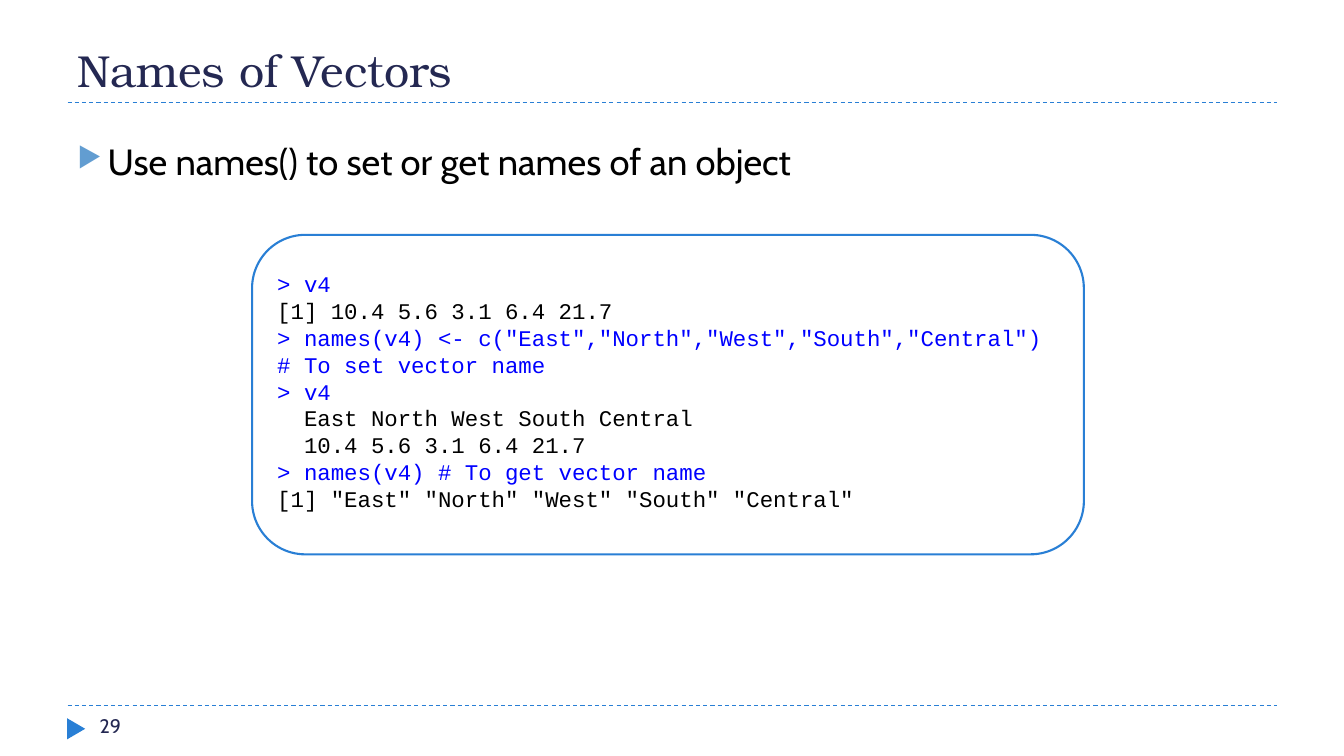
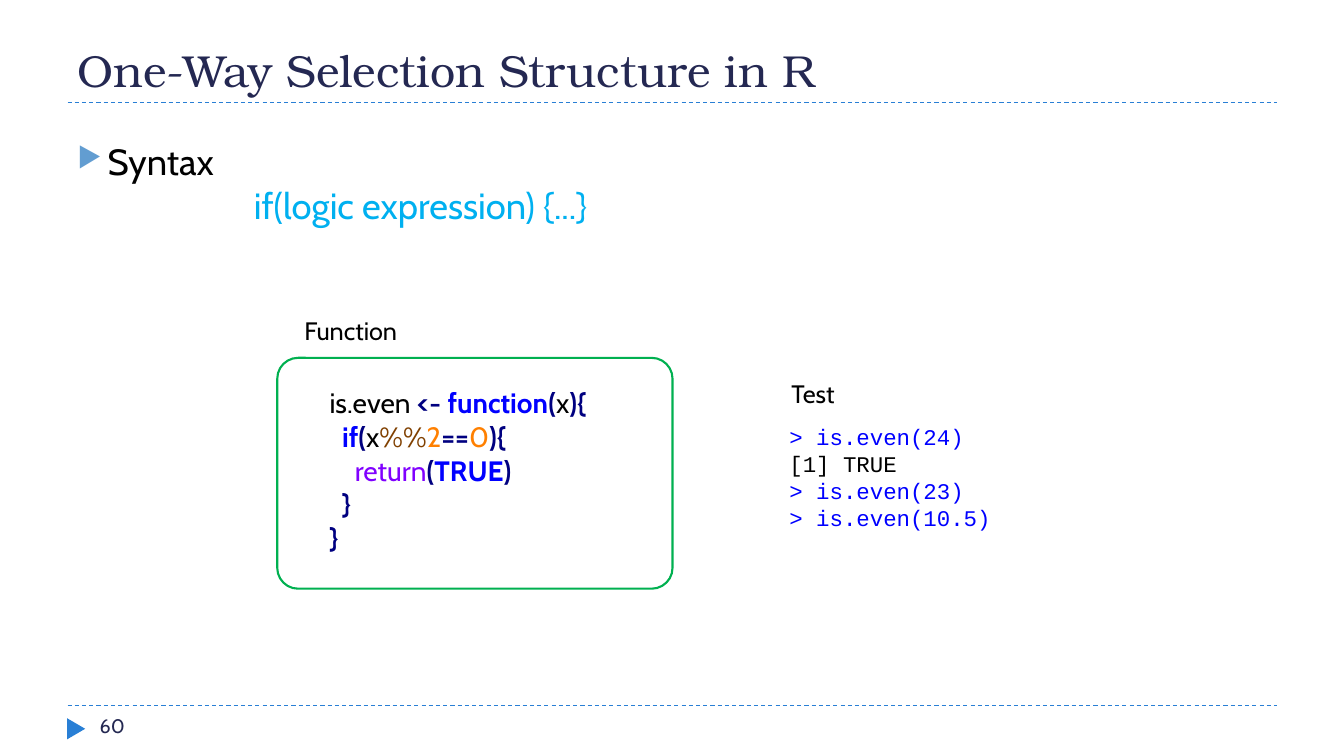
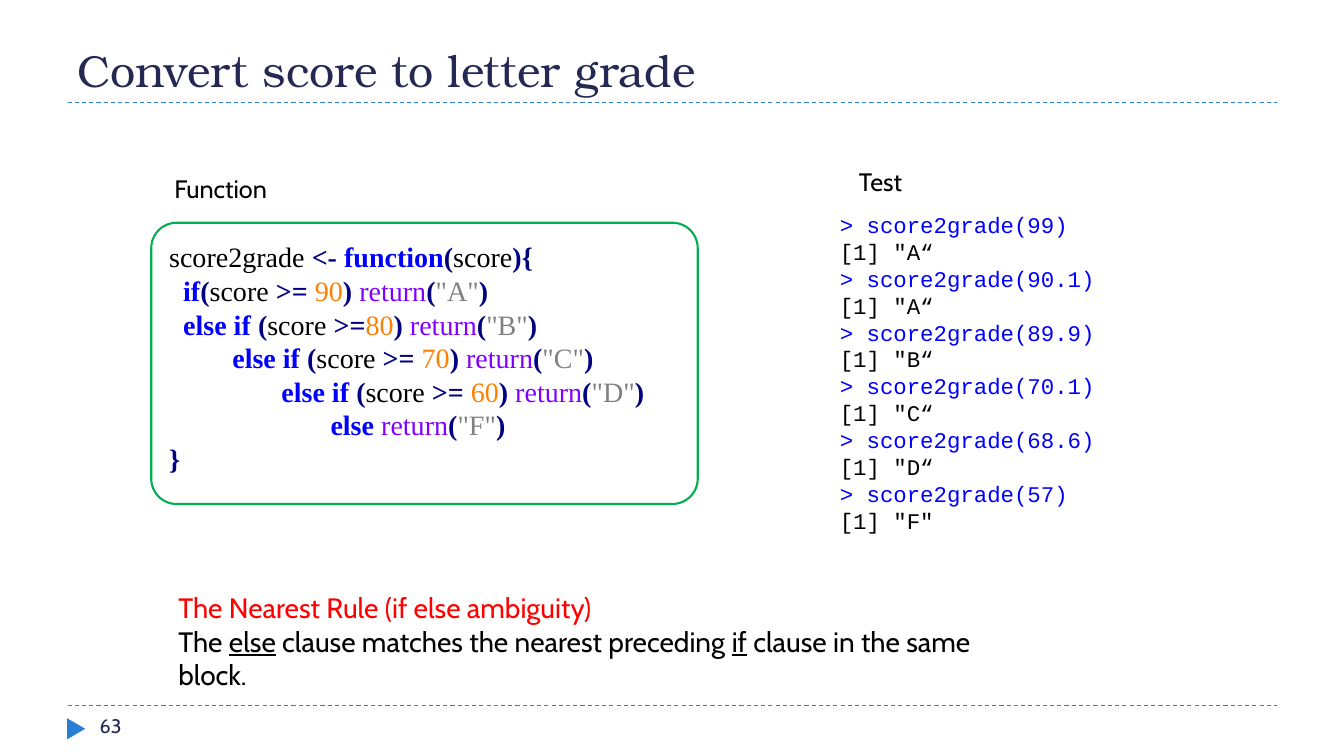
"""Build three slides on vector names and selection structures in R."""
from lxml import etree
from pptx import Presentation
from pptx.dml.color import RGBColor
from pptx.enum.dml import MSO_LINE
from pptx.enum.shapes import MSO_CONNECTOR, MSO_SHAPE
from pptx.enum.text import MSO_ANCHOR, MSO_AUTO_SIZE, PP_ALIGN
from pptx.oxml.ns import qn
from pptx.util import Pt

PX = 9144
DASH = MSO_LINE.DASH
STRAIGHT = MSO_CONNECTOR.STRAIGHT
ROUNDED = MSO_SHAPE.ROUNDED_RECTANGLE
TRIANGLE = MSO_SHAPE.ISOSCELES_TRIANGLE
TOP, MIDDLE, BOTTOM = MSO_ANCHOR.TOP, MSO_ANCHOR.MIDDLE, MSO_ANCHOR.BOTTOM
LEFT = PP_ALIGN.LEFT
NO_AUTOFIT = MSO_AUTO_SIZE.NONE
TITLE_ONLY = 5

COLORS = {
    "white": "FFFFFF", "text": "000000", "title": "242852", "accent": "297FD5",
    "bullet": "629DD1", "syntax": "00B0F0", "frame": "00B050", "input": "0000FF",
    "operator": "000080", "modulo": "804000", "number": "FF8000",
    "call": "8000FF", "string": "808080", "rule": "FF0000",
}
TITLE = {"size": Pt(32), "name": "TeX Gyre Bonum", "color": "title"}
PAGE = {"size": Pt(14), "name": "Cabin", "color": "title"}
BODY = {"size": Pt(26), "name": "Cabin", "color": "text"}
LABEL = {"size": Pt(18), "name": "Cabin", "color": "text"}
NOTE = {"size": Pt(20), "name": "Cabin", "color": "text"}
SERIF_CODE = {**NOTE, "name": "Times New Roman"}
CONSOLE = {"size": Pt(16), "name": "Courier New", "color": "text"}

KEYWORD = {"color": "input", "bold": True}
OPERATOR = {"color": "operator", "bold": True}
TOKENS = {
    **dict.fromkeys(("function", "if", "else", "else if", "TRUE"), KEYWORD),
    **dict.fromkeys(("<-", "(", ")", "){", "}", ">=", "=="), OPERATOR),
    "return": {"color": "call"},
    "%%": {"color": "modulo"},
}

NAMES_SESSION = [
    '> v4',
    '[1] 10.4 5.6 3.1 6.4 21.7',
    '> names(v4) <- c("East","North","West","South","Central") # To set vector name',
    '> v4',
    '  East North West South Central',
    '  10.4 5.6 3.1 6.4 21.7',
    '> names(v4) # To get vector name',
    '[1] "East" "North" "West" "South" "Central"',
]
EVEN_CODE = [
    'is.even |<-| |function|(|x|){',
    '  |if|(|x|%%|2|==|0|){',
    '    |return|(|TRUE|)',
    '  |}',
    '}',
]
EVEN_SESSION = ['> is.even(24)', '[1] TRUE', '> is.even(23)', '> is.even(10.5)']
GRADE_CODE = [
    'score2grade |<-| |function|(|score|){',
    '  |if|(|score |>=| |90|)| |return|(|"A"|)',
    '  |else if| |(|score |>=|80|)| |return|(|"B"|)',
    '         |else if| |(|score |>=| |70|)| |return|(|"C"|)',
    '                |else if| |(|score |>=| |60|)| |return|(|"D"|)',
    '                       |else| |return|(|"F"|)',
    '}',
]
GRADE_SESSION = [
    '> score2grade(99)', '[1] "A“',
    '> score2grade(90.1)', '[1] "A“',
    '> score2grade(89.9)', '[1] "B“',
    '> score2grade(70.1)', '[1] "C“',
    '> score2grade(68.6)', '[1] "D“',
    '> score2grade(57)', '[1] "F"',
]


def rgb(name):
    """Return the named colour."""
    return RGBColor.from_string(COLORS[name])


def emu(box):
    """Turn px lengths into EMU."""
    return [length * PX for length in box]


def format_font(font, style):
    """Apply a dict of format values to a font."""
    for key, value in style.items():
        if key == "color":
            font.color.rgb = rgb(value)
        else:
            setattr(font, key, value)


def write(frame, lines, style, anchor=TOP):
    """Fill a frame with lines, each a list of (text, overrides) pairs."""
    settings = {"word_wrap": True, "auto_size": NO_AUTOFIT, "vertical_anchor": anchor}
    for key, value in settings.items():
        setattr(frame, key, value)
    for index, line in enumerate(lines):
        paragraph = frame.add_paragraph() if index else frame.paragraphs[0]
        paragraph.alignment = LEFT
        for text, overrides in line:
            run = paragraph.add_run()
            run.text = text
            format_font(run.font, {**style, **overrides})


def add_text(slide, box, lines, style):
    """Add a text box and return its frame."""
    frame = slide.shapes.add_textbox(*emu(box)).text_frame
    write(frame, lines, style)
    return frame


def add_label(slide, box, text, style=LABEL):
    """Add a single line of text."""
    add_text(slide, box, [[(text, {})]], style)


def add_console(slide, box, session):
    """Add an R session with its input lines in blue."""
    console = slide.shapes.add_textbox(*emu(box))
    console.fill.solid()
    console.fill.fore_color.rgb = rgb("white")
    frame = console.text_frame
    for side in ("left", "top", "right", "bottom"):
        setattr(frame, f"margin_{side}", 0)
    lines = [[(line, {"color": "input" if line.startswith(">") else "text"})]
             for line in session]
    write(frame, lines, CONSOLE, MIDDLE)


def token_style(token):
    """Return the highlighting of one code token."""
    if token.isdigit():
        return {"color": "number"}
    if token.startswith('"'):
        return {"color": "string"}
    return TOKENS.get(token, {})


def add_code(slide, box, code, style):
    """Add highlighted source code whose tokens are split by bars."""
    lines = [[(token, token_style(token)) for token in line.split("|")] for line in code]
    add_text(slide, box, lines, style)


def add_shape(slide, kind, box, fill=None, line=None):
    """Add a preset shape with a plain fill and outline."""
    shape = slide.shapes.add_shape(kind, *emu(box))
    shape.shadow.inherit = False
    if fill:
        shape.fill.solid()
        shape.fill.fore_color.rgb = rgb(fill)
    else:
        shape.fill.background()
    if line:
        shape.line.color.rgb = rgb(line)
        shape.line.width = Pt(1.5)
    else:
        shape.line.fill.background()
    return shape


def add_code_frame(slide, box):
    """Add the green rounded outline around a function."""
    add_shape(slide, ROUNDED, box, line="frame").adjustments[0] = 0.09


def add_rule(slide, y):
    """Add a dashed rule across the slide."""
    rule = slide.shapes.add_connector(STRAIGHT, *emu((67, y, 1267, y)))
    rule.line.color.rgb = rgb("accent")
    rule.line.width = Pt(0.75)
    rule.line.dash_style = DASH
    etree.SubElement(rule.element.spPr, qn("a:effectLst"))
    return rule


def decorate_layout(layout, slide):
    """Move the shared rules and page marker from a slide to its layout."""
    for placeholder in list(layout.placeholders)[1:]:
        layout.shapes.element.remove(placeholder.element)
    marker = add_shape(slide, TRIANGLE, (65, 714, 21, 18), fill="accent")
    marker.rotation = 90
    for part in (add_rule(slide, 700), add_rule(slide, 102), marker):
        layout.shapes.element.append(part.element)


def add_slide(deck, title, number):
    """Add a slide with its title and page number."""
    slide = deck.slides.add_slide(deck.slide_layouts[TITLE_ONLY])
    heading = slide.shapes.title
    for key, value in zip(("left", "top", "width", "height"), emu((67, 17, 1200, 84))):
        setattr(heading, key, value)
    write(heading.text_frame, [[(title, {})]], TITLE, BOTTOM)
    add_label(slide, (89, 703, 289, 32), number, PAGE)
    return slide


def add_bullet(paragraph):
    """Give a paragraph a hanging triangle bullet."""
    properties = paragraph._p.get_or_add_pPr()
    properties.set("marL", str(30 * PX))
    properties.set("indent", str(-30 * PX))
    color = etree.SubElement(properties, qn("a:buClr"))
    etree.SubElement(color, qn("a:srgbClr"), val=COLORS["bullet"])
    etree.SubElement(properties, qn("a:buSzPct"), val="76000")
    etree.SubElement(properties, qn("a:buChar"), char="▶")


def build_names(deck):
    """Build the slide on vector names."""
    slide = add_slide(deck, "Names of Vectors", "29")
    decorate_layout(slide.slide_layout, slide)
    topic = add_text(slide, (67, 133, 1200, 540),
                     [[("Use names() to set or get names of an object", {})]], BODY)
    add_bullet(topic.paragraphs[0])
    add_shape(slide, ROUNDED, (250, 233, 825, 317), fill="white", line="accent")
    add_console(slide, (275, 267, 783, 242), NAMES_SESSION)


def build_selection(deck):
    """Build the slide on one-way selection."""
    slide = add_slide(deck, "One-Way Selection Structure in R", "60")
    syntax = add_text(slide, (67, 133, 1050, 108),
                      [[("Syntax", {})],
                       [("if(logic expression) {...}", {"color": "syntax"})]], BODY)
    add_bullet(syntax.paragraphs[0])
    syntax.paragraphs[1]._p.get_or_add_pPr().set("marL", str(175 * PX))
    add_code(slide, (317, 378, 317, 178), EVEN_CODE, NOTE)
    add_code_frame(slide, (275, 355, 392, 229))
    add_console(slide, (783, 419, 275, 108), EVEN_SESSION)
    add_label(slide, (292, 308, 292, 40), "Function")
    add_label(slide, (775, 370, 292, 40), "Test")


def build_grades(deck):
    """Build the slide on letter grades."""
    slide = add_slide(deck, "Convert score to letter grade", "63")
    add_code(slide, (158, 233, 533, 246), GRADE_CODE, SERIF_CODE)
    add_code_frame(slide, (150, 221, 542, 279))
    add_label(slide, (163, 167, 379, 40), "Function")
    add_label(slide, (842, 160, 200, 40), "Test")
    add_console(slide, (833, 208, 256, 323), GRADE_SESSION)
    underlined = {"underline": True}
    add_text(slide, (167, 581, 867, 77), [
        [("The Nearest Rule (if else ambiguity)", {"color": "rule"})],
        [("The ", {}), ("else", underlined),
         (" clause matches the nearest preceding ", {}), ("if", underlined),
         (" clause in the same block.", {})],
    ], NOTE)


def main():
    """Build and save the deck."""
    deck = Presentation()
    deck.slide_width, deck.slide_height = emu((1333, 750))
    for build in (build_names, build_selection, build_grades):
        build(deck)
    deck.save("out.pptx")


if __name__ == "__main__":
    main()
